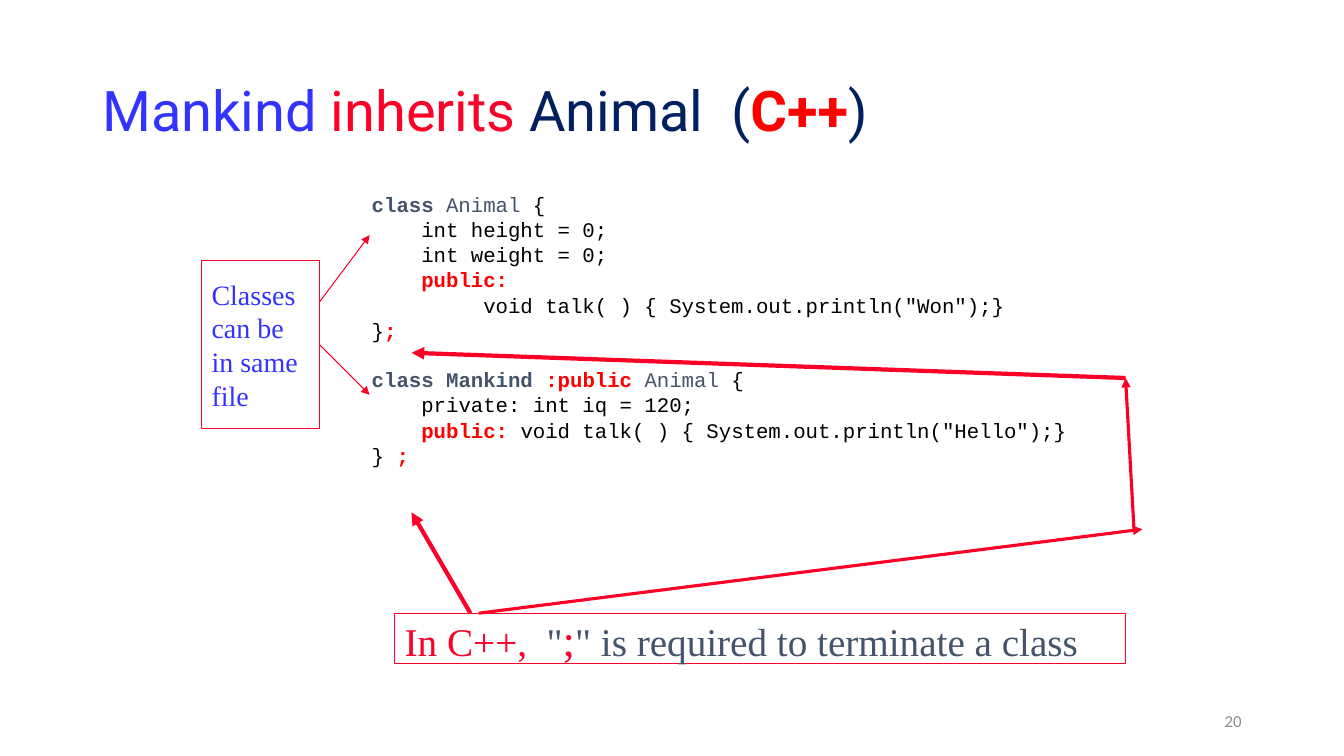
import pptx
import pptx.dml.color
import pptx.enum.shapes
import pptx.enum.text
import pptx.oxml
import pptx.oxml.ns
import pptx.util

RED, PURE, BLUE = "FC0128", "FF0000", "3333FF"
SLATE, NAVY, BLACK, GREY = "44546A", "002060", "000000", "8C8C8C"
SERIF, MONO = "Times New Roman", "Courier New"
ANCHOR = pptx.enum.text.MSO_ANCHOR
ALIGN = pptx.enum.text.PP_ALIGN

CODE = [
    [("class", SLATE, True), (" Animal", SLATE, False), (" {", BLACK, False)],
    [("    int height = 0;", BLACK, False)],
    [("    int weight = 0;", BLACK, False)],
    [("    public:", PURE, True)],
    [('         void talk( ) { System.out.println("Won");}', BLACK, False)],
    [("}", BLACK, False), (";", PURE, True)],
    [("class Mankind ", SLATE, True), (":public ", PURE, True),
     ("Animal", SLATE, False), (" {", BLACK, False)],
    [("    private: int iq = 120;", BLACK, False)],
    [("    ", BLACK, False), ("public:", PURE, True),
     (' void talk( ) { System.out.println("Hello");}', BLACK, False)],
    [("} ", BLACK, False), (";", PURE, True)],
]
MANKIND = 6


def px(n):
    return pptx.util.Emu(n * 9525)


def hue(code):
    return pptx.dml.color.RGBColor.from_string(code)


def write(para, parts, face, size):
    for text, color, bold in parts:
        run = para.add_run()
        run.text = text
        run.font.name = face
        run.font.size = pptx.util.Pt(size)
        run.font.bold = bold
        run.font.color.rgb = hue(color)


def area(slide, box):
    frame = slide.shapes.add_textbox(*map(px, box)).text_frame
    frame.word_wrap = True
    return frame


def title(slide, box):
    shape = slide.shapes.title
    shape.left, shape.top, shape.width, shape.height = map(px, box)
    frame = shape.text_frame
    frame.auto_size = pptx.enum.text.MSO_AUTO_SIZE.NONE
    frame.vertical_anchor = ANCHOR.MIDDLE
    para = frame.paragraphs[0]
    para.alignment = ALIGN.LEFT
    para.line_spacing = 0.9
    write(para, [("Mankind ", BLUE, False), ("inherits", RED, False),
                 (" Animal  (", NAVY, False), ("C++", PURE, True),
                 (")", NAVY, False)], "Roboto", 40)


def code(slide, box):
    frame = area(slide, box)
    frame.margin_left = px(106)
    for i, parts in enumerate(CODE):
        para = frame.paragraphs[0] if i == 0 else frame.add_paragraph()
        para.line_spacing = 0.7
        if i:
            para.space_before = pptx.util.Pt(22.9 if i == MANKIND else 5.6)
        write(para, parts, MONO, 14.8)


def note(slide, box, parts, size):
    shape = slide.shapes.add_shape(
        pptx.enum.shapes.MSO_SHAPE.RECTANGLE, *map(px, box))
    shape.shadow.inherit = False
    shape.fill.background()
    shape.line.color.rgb = hue(RED)
    shape.line.width = pptx.util.Pt(0.75)
    frame = shape.text_frame
    frame.word_wrap = True
    frame.vertical_anchor = ANCHOR.MIDDLE
    para = frame.paragraphs[0]
    para.alignment = ALIGN.LEFT
    write(para, parts, SERIF, size)
    return shape


def arrow(slide, start, end, width):
    line = slide.shapes.add_connector(
        pptx.enum.shapes.MSO_CONNECTOR.STRAIGHT, *map(px, start + end))
    line.line.color.rgb = hue(RED)
    line.line.width = pptx.util.Pt(width)
    tip = pptx.oxml.parse_xml(
        '<a:tailEnd %s type="triangle"/>' % pptx.oxml.ns.nsdecls("a"))
    line.line._get_or_add_ln().append(tip)
    props = line._element.spPr
    props.append(pptx.oxml.parse_xml(
        "<a:effectLst %s/>" % pptx.oxml.ns.nsdecls("a")))
    return line


def files(slide, box):
    x, y, w, h = box
    side = x + w
    shape = note(slide, box, [("Classes can be in same file", BLUE, False)], 20)
    arrow(slide, (side, y + 40), (side + 48, y - 24), 0.75)
    low = arrow(slide, (side, y + h // 2), (side + 48, y + h // 2 + 48), 0.75)
    low.begin_connect(shape, 3)


def ending(slide, box):
    x, y, w, h = box
    shape = note(slide, box, [
        ("In C++,  ", RED, False), ('"', SLATE, False), (";", RED, False),
        ('" is required to terminate a class', SLATE, False)], 28)
    shape.text_frame.paragraphs[0].runs[2].font.size = pptx.util.Pt(32)
    tip, turn, top = x + 16, (x + w + 8, y - 80), (x + w, y - 224)
    arrow(slide, (x + 72, y), (tip, y - 96), 3)
    arrow(slide, top, (tip, y - 248), 3)
    arrow(slide, (x + 80, y), (turn[0] + 8, turn[1]), 2.25)
    arrow(slide, turn, top, 2.25)


def number(slide, box):
    frame = area(slide, box)
    frame.vertical_anchor = ANCHOR.MIDDLE
    para = frame.paragraphs[0]
    para.alignment = ALIGN.RIGHT
    write(para, [("20", GREY, False)], "Calibri", 12)


def main():
    deck = pptx.Presentation()
    deck.slide_width, deck.slide_height = px(1280), px(720)
    slide = deck.slides.add_slide(deck.slide_layouts[5])
    title(slide, (88, 38, 1104, 139))
    code(slide, (248, 184, 848, 272))
    files(slide, (192, 248, 112, 160))
    ending(slide, (376, 584, 696, 48))
    number(slide, (904, 667, 288, 38))
    deck.save("out.pptx")


if __name__ == "__main__":
    main()
